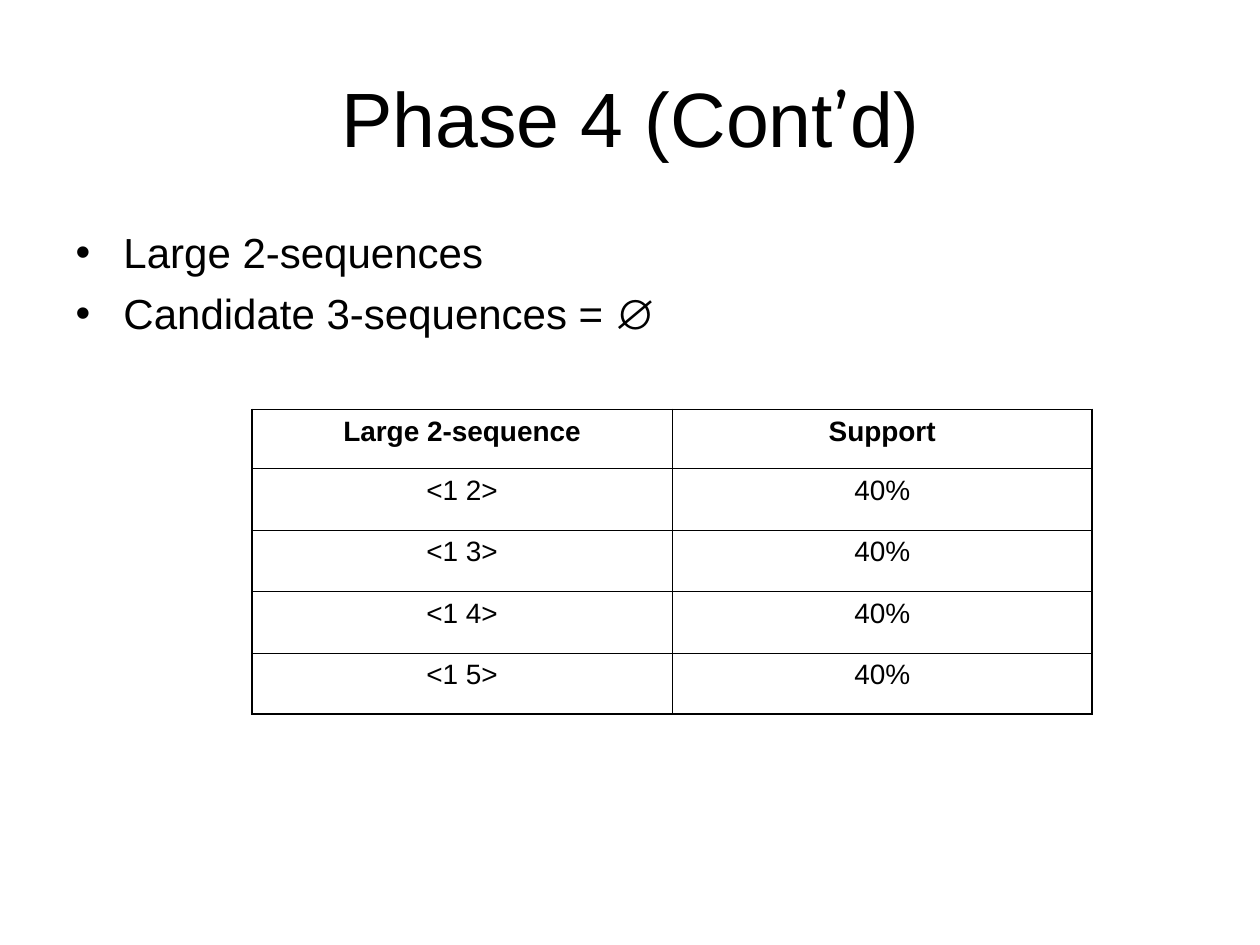
from dataclasses import dataclass

from lxml import etree
from pptx import Presentation
from pptx.dml.color import RGBColor
from pptx.enum.text import MSO_ANCHOR, MSO_AUTO_SIZE, PP_ALIGN
from pptx.oxml.ns import qn
from pptx.util import Inches, Pt

CENTER = PP_ALIGN.CENTER
MIDDLE = MSO_ANCHOR.MIDDLE
TOP = MSO_ANCHOR.TOP
FIXED = MSO_AUTO_SIZE.NONE


@dataclass(frozen=True)
class Theme:
    """Hold the fonts, colours, type sizes and line widths."""
    font: str = "Arial"
    quote: str = "Montserrat"
    ink: str = "000000"
    title: int = 44
    body: int = 24
    cell: int = 16
    thick: float = 1.08
    thin: float = 0.45


THEME = Theme()
TITLE = ("Phase 4 (Cont", "’", "d)")
POINTS = ("Large 2-sequences", "Candidate 3-sequences = ∅")
ROWS = [("Large 2-sequence", "Support")] + [(f"<1 {n}>", "40%") for n in range(2, 6)]


def style(run, size, face=THEME.font, bold=False):
    """Set the font of one run."""
    font = run.font
    font.name, font.size, font.bold = face, Pt(size), bold
    font.color.rgb = RGBColor.from_string(THEME.ink)


def place(shape, box):
    """Move a shape to a box given in inches."""
    shape.left, shape.top, shape.width, shape.height = map(Inches, box)


def add_title(slide, box):
    """Fill the title, with its quote mark in a second font."""
    shape = slide.shapes.title
    place(shape, box)
    frame = shape.text_frame
    frame.vertical_anchor, frame.auto_size = MIDDLE, FIXED
    para = frame.paragraphs[0]
    para.alignment = CENTER
    for text in TITLE:
        run = para.add_run()
        run.text = text
        style(run, THEME.title, THEME.quote if text == "’" else THEME.font)


def add_list(slide, box):
    """Fill the body with bulleted points."""
    shape = slide.placeholders[1]
    place(shape, box)
    frame = shape.text_frame
    frame.text = "\n".join(POINTS)
    frame.vertical_anchor, frame.auto_size = TOP, FIXED
    for i, para in enumerate(frame.paragraphs):
        para.space_before = Pt(6 if i else 0)
        props = para._p.get_or_add_pPr()
        props.set("marL", str(Inches(0.38)))
        props.set("indent", str(Inches(-0.38)))
        etree.SubElement(props, qn("a:buChar"), char="•")
        style(para.runs[0], THEME.body)


def add_edge(cell, side, width):
    """Draw one border of a cell."""
    props = cell._tc.get_or_add_tcPr()
    line = etree.SubElement(props, qn(f"a:ln{side}"), w=str(Pt(width)))
    fill = etree.SubElement(line, qn("a:solidFill"))
    etree.SubElement(fill, qn("a:srgbClr"), val=THEME.ink)


def add_grid(slide, box, head):
    """Add the support table with a thick outer frame."""
    last, end = len(ROWS) - 1, len(ROWS[0]) - 1
    table = slide.shapes.add_table(last + 1, end + 1, *map(Inches, box)).table
    table.first_row = table.horz_banding = False
    for r, row in enumerate(ROWS):
        table.rows[r].height = Inches((box[3] - head) / last if r else head)
        for c, text in enumerate(row):
            cell = table.cell(r, c)
            cell.text = text
            para = cell.text_frame.paragraphs[0]
            para.alignment = CENTER
            style(para.runs[0], THEME.cell, bold=r == 0)
            outer = {"L": c == 0, "R": c == end, "T": r == 0, "B": r == last}
            for side, edge in outer.items():
                add_edge(cell, side, THEME.thick if edge else THEME.thin)
            cell.fill.background()


def main():
    """Build the slide and save it."""
    deck = Presentation()
    deck.slide_width, deck.slide_height = Inches(10), Inches(7.5)
    slide = deck.slides.add_slide(deck.slide_layouts[1])
    add_title(slide, (0.5, 0.3, 9, 1.25))
    add_list(slide, (0.5, 1.75, 9, 4.95))
    add_grid(slide, (2, 3.25, 6.67, 2.42), 0.47)
    deck.save("out.pptx")


if __name__ == "__main__":
    main()
